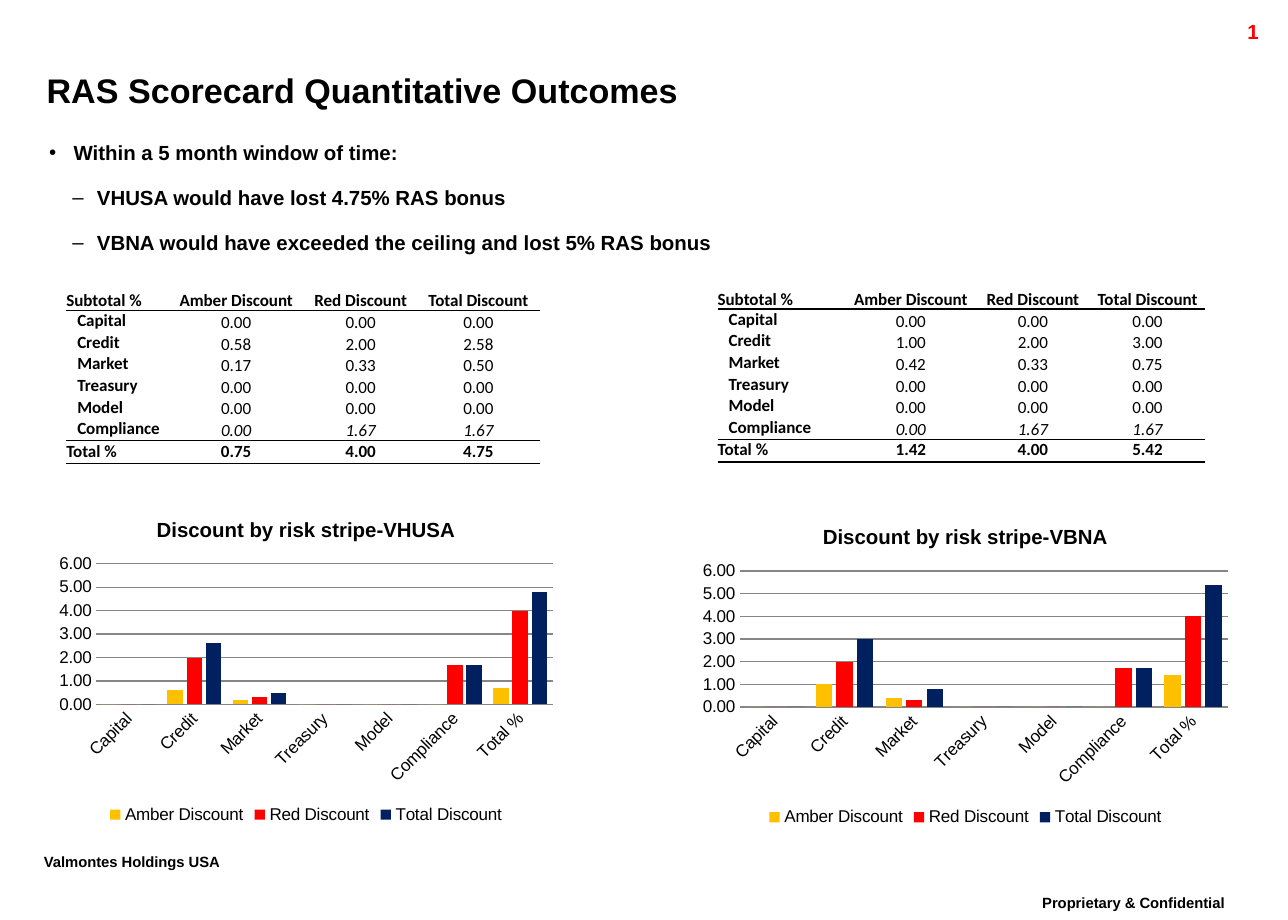
from dataclasses import dataclass
from lxml.etree import SubElement
from pptx import Presentation
from pptx.chart.data import CategoryChartData
from pptx.dml.color import RGBColor
from pptx.enum.chart import XL_CHART_TYPE, XL_LEGEND_POSITION, XL_TICK_MARK
from pptx.enum.text import MSO_ANCHOR, MSO_AUTO_SIZE, PP_ALIGN
from pptx.oxml.ns import qn
from pptx.slide import Slide
from pptx.table import _Cell
from pptx.text.text import Font, TextFrame, _Paragraph
from pptx.util import Inches, Pt

BLACK = RGBColor(0x00, 0x00, 0x00)
RED = RGBColor(0xFF, 0x00, 0x00)
AMBER = RGBColor(0xFF, 0xC0, 0x00)
NAVY = RGBColor(0x00, 0x20, 0x60)
GRAY = RGBColor(0x86, 0x86, 0x86)
GRID = Inches(0.1)
PLAIN_TABLE = "{2D5ABB26-0587-4C30-8999-92F81FD0307C}"
STRIPES = ("Capital", "Credit", "Market", "Treasury", "Model", "Compliance", "Total %")
DISCOUNTS = {"Amber Discount": AMBER, "Red Discount": RED, "Total Discount": NAVY}
ROW_HEIGHTS = (2.4, *[10.6 / 6] * 6, 1.9)
RULES = {0: 1, len(STRIPES) - 1: 0.5, len(STRIPES): 1}


@dataclass(frozen=True)
class Frame:
    """A place on the grid of 105 columns by 75 rows."""
    column: float
    row: float
    columns: float
    rows: float

    def lengths(self) -> tuple[int, ...]:
        """Return left, top, width and height."""
        return tuple(round(GRID * n) for n in (self.column, self.row, self.columns, self.rows))


@dataclass(frozen=True)
class Label:
    """A small text that frames the slide."""
    text: str
    frame: Frame
    size: float
    color: RGBColor
    align: PP_ALIGN
    raised: bool = False


@dataclass(frozen=True)
class Bullet:
    """A line of the list with its level."""
    text: str
    level: int


@dataclass(frozen=True)
class Scorecard:
    """The discounts of one entity: table values and the rounded values of its chart."""
    entity: str
    table: Frame
    widths: tuple[float, ...]
    chart: Frame
    values: tuple[tuple[float, ...], ...]
    charted: tuple[tuple[float, ...], ...]


LABELS = (
    Label("Proprietary & Confidential", Frame(81.5, 72.5, 21.8, 3.5), 15, BLACK, PP_ALIGN.CENTER, True),
    Label("Valmontes Holdings USA", Frame(2.6, 69.1, 19.1, 3.5), 15, BLACK, PP_ALIGN.LEFT, True),
    Label("1", Frame(93.6, 1.1, 10, 2.4), 12, RED, PP_ALIGN.RIGHT),
)
BULLETS = (
    Bullet("Within a 5 month window of time:", 0),
    Bullet("VHUSA would have lost 4.75% RAS bonus", 1),
    Bullet("VBNA would have exceeded the ceiling and lost 5% RAS bonus", 1),
)
SCORECARDS = (
    Scorecard("VHUSA", Frame(5.4, 22.9, 38.6, 14.9), (8.3, 11.1, 9.2, 10), Frame(4, 40.8, 41.9, 26.8),
              ((0, 0.58, 0.17, 0, 0, 0, 0.75), (0, 2, 0.33, 0, 0, 1.67, 4), (0, 2.58, 0.5, 0, 0, 1.67, 4.75)),
              ((0, 0.6, 0.2, 0, 0, 0, 0.7), (0, 2, 0.3, 0, 0, 1.7, 4), (0, 2.6, 0.5, 0, 0, 1.7, 4.8))),
    Scorecard("VBNA", Frame(58.5, 22.8, 39.7, 14.9), (10.5, 10.5, 9.4, 9.3), Frame(56.4, 41.4, 44.6, 26.4),
              ((0, 1, 0.42, 0, 0, 0, 1.42), (0, 2, 0.33, 0, 0, 1.67, 4), (0, 3, 0.75, 0, 0, 1.67, 5.42)),
              ((0, 1, 0.4, 0, 0, 0, 1.4), (0, 2, 0.3, 0, 0, 1.7, 4), (0, 3, 0.8, 0, 0, 1.7, 5.4))),
)


def style_font(font: Font, size: float, bold: bool = True, color: RGBColor = BLACK, name: str = "Arial") -> None:
    """Set the look of a font."""
    font.name, font.size, font.bold = name, Pt(size), bold
    font.color.rgb = color


def clear_margins(frame: TextFrame) -> None:
    """Let text start at the edge of its box and keep its size."""
    frame.margin_left = frame.margin_right = frame.margin_top = frame.margin_bottom = 0
    frame.auto_size = MSO_AUTO_SIZE.NONE


def add_label(slide: Slide, label: Label) -> None:
    """Draw one label."""
    box = slide.shapes.add_textbox(*label.frame.lengths())
    box.text_frame.word_wrap = True
    para = box.text_frame.paragraphs[0]
    para.alignment = label.align
    span = para.add_run()
    span.text = label.text
    style_font(span.font, label.size, color=label.color)
    if label.raised:
        para.line_spacing = 0.86
        span.font._element.set("baseline", "30000")


def fill_title(slide: Slide) -> None:
    """Place and write the title."""
    title = slide.shapes.title
    title.left, title.top, title.width, title.height = Frame(3.8, 4.9, 94.8, 4.8).lengths()
    clear_margins(title.text_frame)
    title.text_frame.vertical_anchor = MSO_ANCHOR.MIDDLE
    para = title.text_frame.paragraphs[0]
    para.alignment = PP_ALIGN.LEFT
    span = para.add_run()
    span.text = "RAS Scorecard Quantitative Outcomes"
    style_font(span.font, 20)


def add_bullet(para: _Paragraph, bullet: Bullet) -> None:
    """Write one line of the list."""
    para.level = bullet.level
    properties = para._p.get_or_add_pPr()
    properties.set("marL", str(Inches((0.2, 0.39)[bullet.level])))
    properties.set("indent", str(-Inches(0.2)))
    SubElement(properties, qn("a:buChar")).set("char", "•–"[bullet.level])
    para.space_before = Pt(12 if bullet.level else 0)
    span = para.add_run()
    span.text = bullet.text
    style_font(span.font, 12)


def fill_body(slide: Slide) -> None:
    """Place the list and write its lines."""
    body = slide.placeholders[1]
    body.left, body.top, body.width, body.height = Frame(4, 11.4, 99, 9.4).lengths()
    clear_margins(body.text_frame)
    for index, bullet in enumerate(BULLETS):
        add_bullet(body.text_frame.add_paragraph() if index else body.text_frame.paragraphs[0], bullet)


def add_border(cell: _Cell, side: str, points: float) -> None:
    """Draw a black line on one side of a cell, or none at zero points."""
    line = SubElement(cell._tc.get_or_add_tcPr(), qn(f"a:{side}"), w=str(Pt(points)))
    if points:
        SubElement(SubElement(line, qn("a:solidFill")), qn("a:srgbClr")).set("val", str(BLACK))
    else:
        SubElement(line, qn("a:noFill"))


def fill_cell(cell: _Cell, text: str, row: int, column: int) -> None:
    """Write a table cell and set its rules."""
    header, total = row == 0, row == len(STRIPES)
    cell.margin_left = Inches(0 if header or total or column else 0.09)
    cell.margin_right = cell.margin_top = cell.margin_bottom = 0
    middle = total or (column == 0 and not header)
    cell.vertical_anchor = MSO_ANCHOR.MIDDLE if middle else MSO_ANCHOR.BOTTOM
    para = cell.text_frame.paragraphs[0]
    para.alignment = PP_ALIGN.CENTER if column else PP_ALIGN.LEFT
    para.line_spacing = 0.86
    span = para.add_run()
    span.text = text
    style_font(span.font, 10, header or total or column == 0, name="Calibri")
    span.font.italic = row == len(STRIPES) - 1 and column > 0
    for side, points in (("lnL", 0), ("lnR", 0), ("lnT", RULES.get(row - 1, 0)), ("lnB", RULES.get(row, 0))):
        add_border(cell, side, points)
    cell.fill.background()


def add_scorecard_table(slide: Slide, card: Scorecard) -> None:
    """Draw the table of an entity."""
    table = slide.shapes.add_table(len(ROW_HEIGHTS), len(card.widths), *card.table.lengths()).table
    table.first_row = table.horz_banding = False
    table._tbl.tblPr.find(qn("a:tableStyleId")).text = PLAIN_TABLE
    for column, width in zip(table.columns, card.widths):
        column.width = round(GRID * width)
    for row, height in zip(table.rows, ROW_HEIGHTS):
        row.height = round(GRID * height)
    lines = [("Subtotal %", *DISCOUNTS)]
    lines += [(stripe, *(f"{value:.2f}" for value in values)) for stripe, *values in zip(STRIPES, *card.values)]
    for row, line in enumerate(lines):
        for column, text in enumerate(line):
            fill_cell(table.cell(row, column), text, row, column)


def add_scorecard_chart(slide: Slide, card: Scorecard) -> None:
    """Draw the column chart of an entity."""
    data = CategoryChartData(number_format="0.00")
    data.categories = STRIPES
    for name, values in zip(DISCOUNTS, card.charted):
        data.add_series(name, values)
    chart = slide.shapes.add_chart(XL_CHART_TYPE.COLUMN_CLUSTERED, *card.chart.lengths(), data).chart
    style_font(chart.font, 10, False)
    span = chart.chart_title.text_frame.paragraphs[0].add_run()
    span.text = f"Discount by risk stripe-{card.entity}"
    style_font(span.font, 12)
    chart.chart_title.include_in_layout = False
    chart.has_legend = True
    chart.legend.position = XL_LEGEND_POSITION.BOTTOM
    chart.legend.include_in_layout = False
    plot = chart.plots[0]
    plot.gap_width, plot.overlap, plot.vary_by_categories = 75, -25, False
    for series, color in zip(plot.series, DISCOUNTS.values()):
        series.format.fill.solid()
        series.format.fill.fore_color.rgb = color
    for axis in (chart.category_axis, chart.value_axis):
        axis.major_tick_mark = axis.minor_tick_mark = XL_TICK_MARK.NONE
        style_font(axis.tick_labels.font, 10, False)
    chart.category_axis.format.line.color.rgb = GRAY
    chart.category_axis._element.find(qn("c:txPr")).find(qn("a:bodyPr")).set("rot", "-2700000")
    scale = chart.value_axis
    scale.minimum_scale, scale.maximum_scale, scale.major_unit = 0, 6, 1
    scale.tick_labels.number_format, scale.tick_labels.number_format_is_linked = "0.00", False
    scale.format.line.fill.background()
    scale.major_gridlines.format.line.color.rgb = GRAY


deck = Presentation()
deck.slide_width, deck.slide_height = GRID * 105, GRID * 75
page = deck.slides.add_slide(deck.slide_layouts[1])
fill_title(page)
fill_body(page)
for label in LABELS:
    add_label(page, label)
for card in SCORECARDS:
    add_scorecard_chart(page, card)
    add_scorecard_table(page, card)
deck.save("out.pptx")
